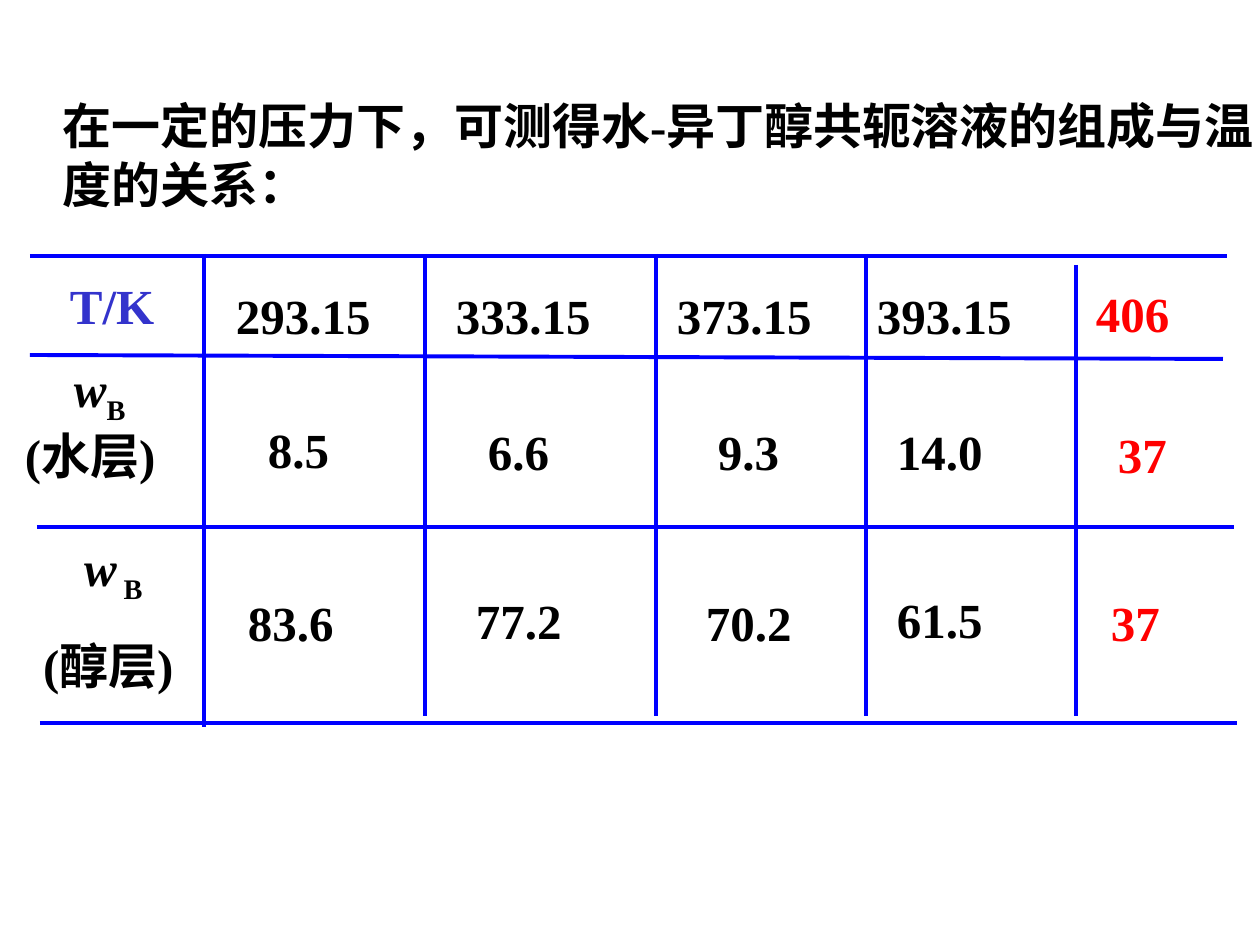
from pptx import Presentation
from pptx.dml.color import RGBColor
from pptx.enum.shapes import MSO_CONNECTOR
from pptx.enum.text import MSO_AUTO_SIZE
from pptx.oxml.ns import qn
from pptx.util import Emu, Pt
from lxml.etree import SubElement

BLACK, RED, BLUE, NAVY = "000000", "FF0000", "0000FF", "3333CC"


def px(n):
    return Emu(round(n * 914400 / 126))


def tint(code):
    return RGBColor.from_string(code)


class Deck:
    font, size, rule = "Times New Roman", 28, 2.25

    def __init__(self, wide, high):
        self.deck = Presentation()
        self.deck.slide_width, self.deck.slide_height = px(wide), px(high)
        self.slide = self.deck.slides.add_slide(self.deck.slide_layouts[6])

    def line(self, x1, y1, x2, y2):
        link = self.slide.shapes.add_connector(
            MSO_CONNECTOR.STRAIGHT, px(x1), px(y1), px(x2), px(y2))
        link.line.color.rgb = tint(BLUE)
        link.line.width = Pt(self.rule)
        SubElement(link._element.spPr, qn("a:effectLst"))

    def run(self, para, text, color=BLACK, italic=False, sub=False):
        run = para.add_run()
        run.text = text
        font = run.font
        font.name, font.size, font.bold = self.font, Pt(self.size), True
        font.italic = italic
        font.color.rgb = tint(color)
        if sub:
            run._r.get_or_add_rPr().set("baseline", "-25000")

    def box(self, x, y, w, h):
        frame = self.slide.shapes.add_textbox(px(x), px(y), px(w), px(h)).text_frame
        frame.margin_left = frame.margin_right = 0
        frame.margin_top = frame.margin_bottom = 0
        frame.word_wrap = True
        frame.auto_size = MSO_AUTO_SIZE.SHAPE_TO_FIT_TEXT
        return frame

    def text(self, x, y, w, h, text, color=BLACK):
        self.run(self.box(x, y, w, h).paragraphs[0], text, color)

    def label(self, x, y, w, h, sub, layer, dent, gap):
        frame = self.box(x, y, w, h)
        top, low = frame.paragraphs[0], frame.add_paragraph()
        for para, left in ((top, 49), (low, dent)):
            props = para._p.get_or_add_pPr()
            props.set("marL", str(px(left)))
            props.set("indent", "0")
        low.space_before = Pt(gap)
        self.run(top, "w", italic=True)
        self.run(top, sub, sub=True)
        self.run(low, layer)

    def save(self):
        self.deck.save("out.pptx")


def main():
    deck = Deck(1260, 945)
    deck.text(63, 96, 1197, 117, "在一定的压力下，可测得水-异丁醇共轭溶液的组成与温度的关系：")

    for x, top, end in ((204, 254, 727), (425, 254, 716), (656, 254, 716),
                        (866, 254, 716), (1076, 265, 716)):
        deck.line(x, top, x, end)
    for x1, y1, x2, y2 in ((30, 256, 1227, 256), (30, 355, 1223, 359),
                           (37, 527, 1234, 527), (40, 723, 1237, 723)):
        deck.line(x1, y1, x2, y2)

    deck.text(70, 276, 126, 59, "T/K", NAVY)
    deck.label(25, 359, 263, 126, "B", "(水层)", 0, 0)
    deck.label(35, 538, 173, 165, " B", "(醇层)", 8, 17.5)

    cells = (
        ((236, 286, 189, "293.15"), (268, 420, 126, "8.5"), (248, 593, 136, "83.6")),
        ((456, 286, 189, "333.15"), (488, 422, 147, "6.6"), (476, 591, 189, "77.2")),
        ((677, 286, 189, "373.15"), (718, 422, 179, "9.3"), (706, 593, 168, "70.2")),
        ((877, 286, 189, "393.15"), (897, 422, 158, "14.0"), (897, 590, 147, "61.5")),
        ((1096, 284, 123, "406"), (1118, 425, 136, "37"), (1111, 593, 136, "37")),
    )
    for col in cells:
        color = RED if col is cells[-1] else BLACK
        for x, y, w, text in col:
            deck.text(x, y, w, 59, text, color)
    deck.save()


if __name__ == "__main__":
    main()
